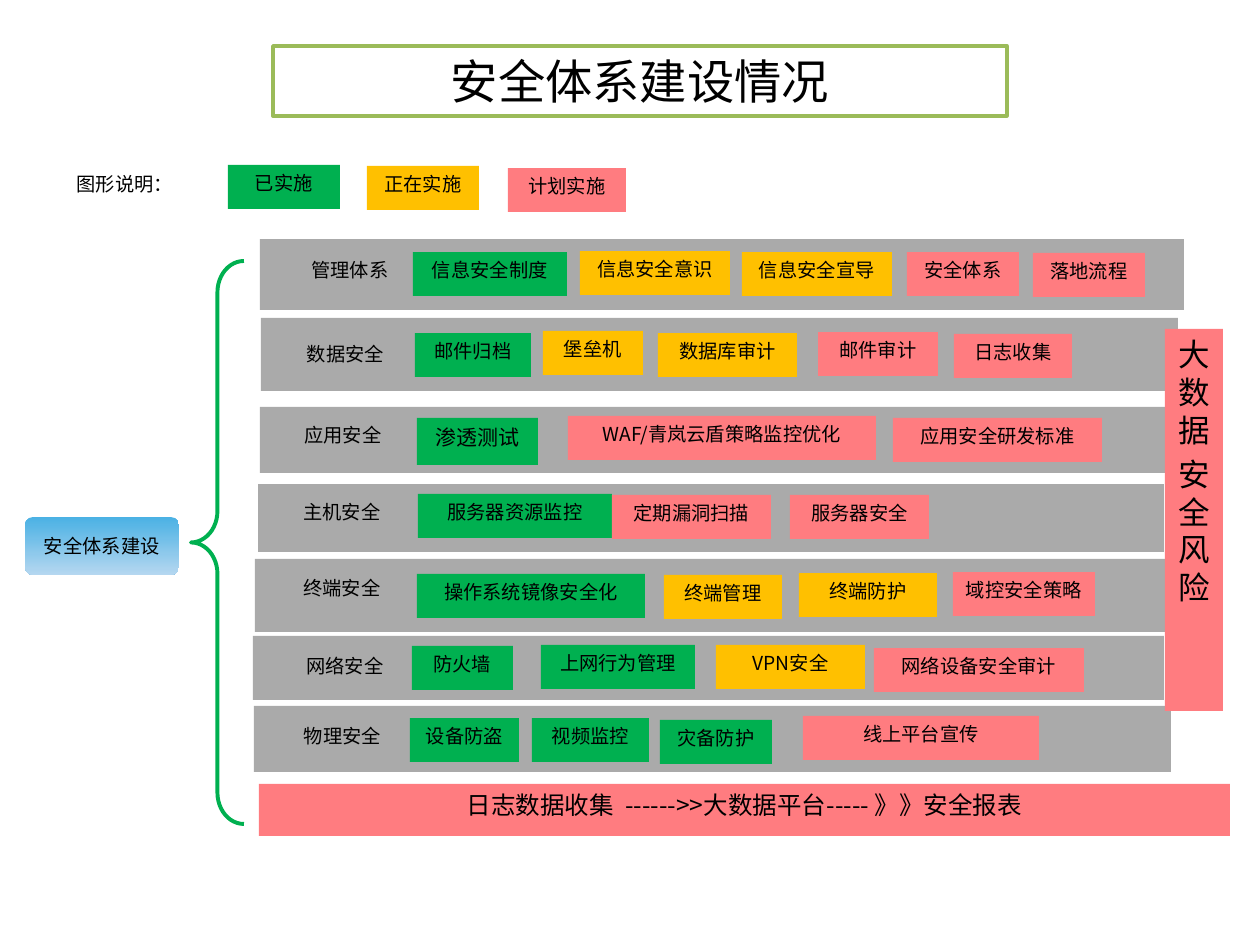
from lxml import etree
from pptx import Presentation
from pptx.dml.color import RGBColor
from pptx.enum.shapes import MSO_SHAPE as SHAPE
from pptx.enum.text import MSO_ANCHOR as ANCHOR, PP_ALIGN as ALIGN
from pptx.oxml.ns import qn
from pptx.util import Pt

PX = 914400 // 126
FONT = "Noto Sans CJK SC"
BOX_H = 44
COLORS = {
    "done": "00B050", "doing": "FFC000", "plan": "FF7C80",
    "bar": "0D0D0D", "text": "000000", "white": "FFFFFF",
    "frame": "9BBB59", "root_top": "4AB1E4", "root_bottom": "B5D7F0",
}


def rgb(name):
    return RGBColor.from_string(COLORS[name])


def add_box(box, text="", color=None, size=11, kind=SHAPE.RECTANGLE):
    """Filled shape, or a plain text box when there is no color."""
    area = [v * PX for v in box]
    if color:
        shape = slide.shapes.add_shape(kind, *area)
        shape.shadow.inherit = False
        shape.fill.solid()
        shape.fill.fore_color.rgb = rgb(color)
        shape.line.fill.background()
    else:
        shape = slide.shapes.add_textbox(*area)
    frame = shape.text_frame
    frame.word_wrap = True
    frame.vertical_anchor = ANCHOR.TOP
    frame.text = text
    for paragraph in frame.paragraphs:
        paragraph.alignment = ALIGN.CENTER
        for run in paragraph.runs:
            run.font.size = Pt(size)
            run.font.name = FONT
            run.font.color.rgb = rgb("text")
            etree.SubElement(run.font._element, qn("a:ea"), typeface=FONT)
    return shape


prs = Presentation()
prs.slide_width, prs.slide_height = 1260 * PX, 945 * PX
slide = prs.slides.add_slide(prs.slide_layouts[5])

# Title
title = slide.shapes.title
title.left, title.top, title.width, title.height = [v * PX for v in (273, 46, 734, 70)]
title.fill.solid()
title.fill.fore_color.rgb = rgb("white")
title.line.color.rgb = rgb("frame")
title.line.width = Pt(2)
title.text_frame.text = "安全体系建设情况"
title.text_frame.vertical_anchor = ANCHOR.MIDDLE
heading = title.text_frame.paragraphs[0]
heading.alignment = ALIGN.CENTER
heading.runs[0].font.size = Pt(27)
heading.runs[0].font.name = "Calibri"
heading.runs[0].font.color.rgb = rgb("text")

# Root topic and brace
root = add_box((25, 517, 154, 58), "安全体系建设", "done", kind=SHAPE.ROUNDED_RECTANGLE)
root.adjustments[0] = 0.14
root.text_frame.vertical_anchor = ANCHOR.MIDDLE
root.text_frame.word_wrap = False
root.fill.gradient()
root.fill.gradient_angle = 270
for stop, name, position in zip(root.fill.gradient_stops, ("root_top", "root_bottom"), (0, 1)):
    stop.color.rgb = rgb(name)
    stop.position = position

brace = add_box((191, 261, 53, 563), color="done", kind=SHAPE.LEFT_BRACE)
brace.adjustments[0], brace.adjustments[1] = 0.59, 0.5
brace.fill.background()
brace.line.color.rgb = rgb("done")
brace.line.width = Pt(2.25)

# Legend
legend = add_box((64, 166, 122, BOX_H), "图形说明：")
legend.text_frame.word_wrap = False
for left, top, width, text, status in [
    (228, 165, 112, "已实施", "done"),
    (367, 166, 112, "正在实施", "doing"),
    (508, 168, 118, "计划实施", "plan"),
]:
    add_box((left, top, width, BOX_H), text, status)

# Layers: bar, label (left, top, width), measures (left, top, width, text, status)
layers = [
    ("管理体系", (260, 239, 924, 71), (260, 252, 180), [
        (413, 252, 154, "信息安全制度", "done"), (580, 251, 150, "信息安全意识", "doing"),
        (742, 252, 150, "信息安全宣导", "doing"), (907, 252, 112, "安全体系", "plan"),
        (1033, 253, 112, "落地流程", "plan")]),
    ("数据安全", (261, 318, 917, 73), (256, 336, 179), [
        (415, 333, 116, "邮件归档", "done"), (543, 331, 100, "堡垒机", "doing"),
        (658, 333, 139, "数据库审计", "doing"), (818, 332, 120, "邮件审计", "plan"),
        (954, 334, 118, "日志收集", "plan")]),
    ("应用安全", (260, 407, 924, 66), (253, 417, 180), [
        (417, 418, 121, "渗透测试", "done"), (568, 416, 308, "WAF/青岚云盾策略监控优化", "plan"),
        (893, 418, 209, "应用安全研发标准", "plan")]),
    ("主机安全", (258, 484, 906, 68), (253, 494, 178), [
        (418, 494, 194, "服务器资源监控", "done"), (612, 495, 159, "定期漏洞扫描", "plan"),
        (790, 495, 139, "服务器安全", "plan")]),
    ("终端安全", (255, 559, 932, 73), (268, 570, 148), [
        (417, 574, 228, "操作系统镜像安全化", "done"), (664, 575, 118, "终端管理", "doing"),
        (799, 573, 138, "终端防护", "doing"), (953, 572, 142, "域控安全策略", "plan")]),
    ("网络安全", (253, 636, 911, 64), (278, 648, 134), [
        (412, 646, 101, "防火墙", "done"), (541, 645, 154, "上网行为管理", "done"),
        (716, 645, 149, "VPN安全", "doing"), (874, 648, 210, "网络设备安全审计", "plan")]),
    ("物理安全", (254, 706, 917, 66), (253, 718, 179), [
        (410, 718, 109, "设备防盗", "done"), (532, 718, 117, "视频监控", "done"),
        (660, 720, 112, "灾备防护", "done"), (803, 716, 236, "线上平台宣传", "plan")]),
]
for layer, bar_area, label_area, measures in layers:
    bar = add_box(bar_area, color="bar")
    bar_color = bar.fill._xPr.find(qn("a:solidFill"))[0]
    etree.SubElement(bar_color, qn("a:alpha"), val="35000")
    add_box((*label_area, BOX_H), layer)
    for left, top, width, text, status in measures:
        # The penetration test is set slightly larger
        height, size = (47, 12) if text == "渗透测试" else (BOX_H, 11)
        add_box((left, top, width, height), text, status, size)

# Big-data risk column, one character a line
risk = add_box((1165, 329, 58, 382), "大数据\n安全风险", "plan", 18)
risk.text_frame.paragraphs[1].space_before = Pt(3.6)

# Log flow
add_box((259, 784, 971, 52), "日志数据收集  ------>>大数据平台----- 》》安全报表", "plan", 14)

prs.save("out.pptx")
